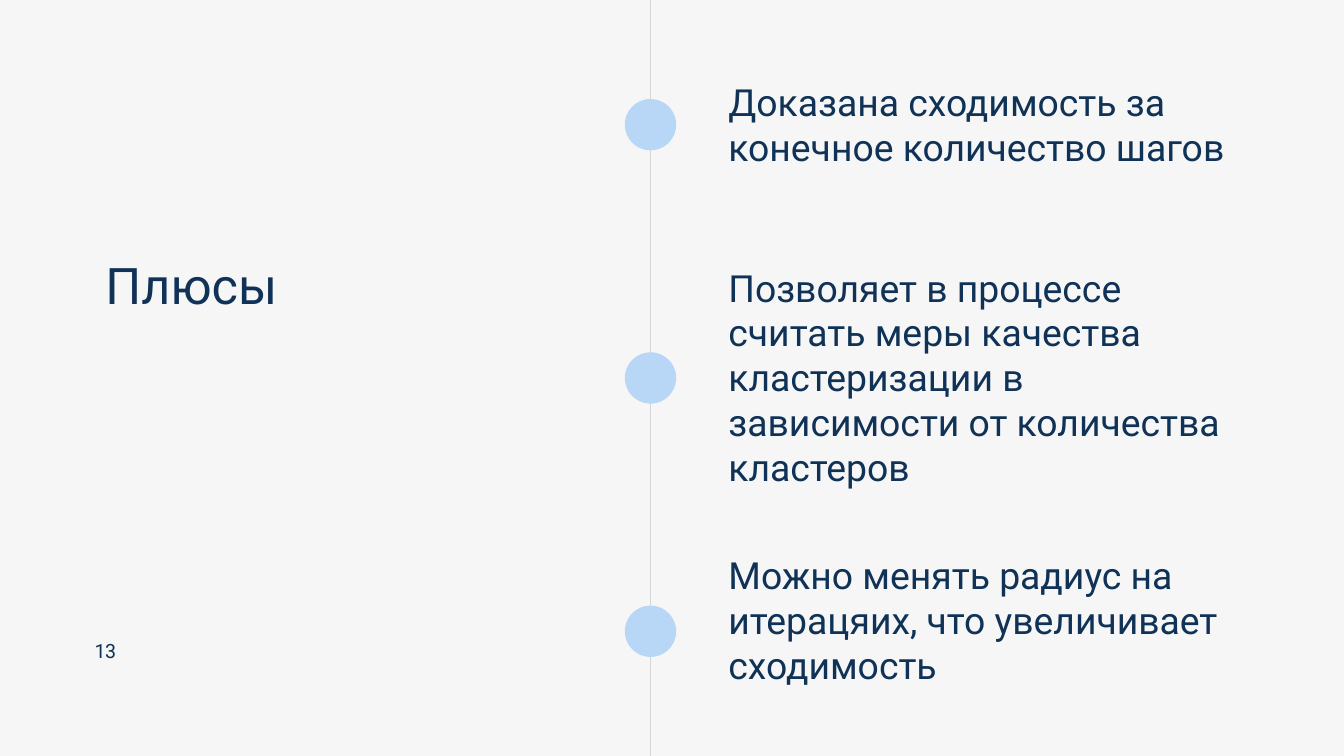
from pptx import Presentation
from pptx.dml.color import RGBColor
from pptx.enum.shapes import MSO_SHAPE
from pptx.enum.text import MSO_ANCHOR, MSO_AUTO_SIZE, PP_ALIGN
from pptx.oxml.ns import qn
from pptx.util import Pt
from lxml import etree

OVAL, RECT = MSO_SHAPE.OVAL, MSO_SHAPE.RECTANGLE
TOP, FIXED = MSO_ANCHOR.TOP, MSO_AUTO_SIZE.NONE
LEFT, CENTER = PP_ALIGN.LEFT, PP_ALIGN.CENTER

WIDTH, HEIGHT = 1440, 810
PAPER, NAVY, SKY, BLACK = "F6F6F6", "0F3256", "B8D6F6", "000000"
FACE = "Roboto"

TITLE = "Плюсы"
NUMBER = "13"
PROS = [
    ("Доказана сходимость за конечное количество шагов", 85, 97),
    ("Позволяет в процессе считать меры качества кластеризации "
     "в зависимости от количества кластеров", 283.7, 242.6),
    ("Можно менять радиус на итерацяих, что увеличивает сходимость",
     591.8, 145.4),
]
AXIS, DOT, FIRST, STEP = 697, 55, 133.6, 271.4
TEXT_X, TEXT_W = 780.5, 568.5


def color(value):
    """Turn a hex string into a colour."""
    return RGBColor.from_string(value)


def place(shape, box):
    """Set left, top, width and height in points."""
    for name, value in zip(("left", "top", "width", "height"), box):
        setattr(shape, name, Pt(value))


def write(shape, box, text, size, lead=None, align=LEFT):
    """Place a text shape, then fill and format it."""
    place(shape, box)
    frame = shape.text_frame
    look = dict(margin_left=0, margin_top=0, margin_right=0, margin_bottom=0,
                word_wrap=True, auto_size=FIXED, vertical_anchor=TOP)
    for name, value in look.items():
        setattr(frame, name, value)
    para = frame.paragraphs[0]
    para.alignment = align
    if lead:
        para.line_spacing = Pt(lead)
    run = para.add_run()
    run.text = text
    for name, value in dict(name=FACE, size=Pt(size)).items():
        setattr(run.font, name, value)
    run.font.color.rgb = color(NAVY)
    return run


def draw(slide, kind, box, fill):
    """Add a plain filled shape."""
    shape = slide.shapes.add_shape(kind, *map(Pt, box))
    shape.shadow.inherit = False
    shape.fill.solid()
    shape.fill.fore_color.rgb = color(fill)
    shape.line.fill.background()
    return shape


def main():
    """Build and save the slide."""
    deck = Presentation()
    deck.slide_width, deck.slide_height = Pt(WIDTH), Pt(HEIGHT)
    slide = deck.slides.add_slide(deck.slide_layouts[5])
    back = slide.background.fill
    back.solid()
    back.fore_color.rgb = color(PAPER)

    write(slide.shapes.title, (113, 272.9, 207.4, 64.8), TITLE, 54, 64)
    line = draw(slide, RECT, (AXIS - 0.3, 0, 0.7, HEIGHT), BLACK)
    tint = line.fill._xPr.find(".//" + qn("a:srgbClr"))
    etree.SubElement(tint, qn("a:alpha")).set("val", "20000")

    for i, (text, top, height) in enumerate(PROS):
        label = slide.shapes.add_textbox(0, 0, 0, 0)
        write(label, (TEXT_X, top, TEXT_W, height), text, 40)
        mid = FIRST + i * STEP
        draw(slide, OVAL, (AXIS - DOT / 2, mid - DOT / 2, DOT, DOT), SKY)

    page = slide.shapes.add_textbox(0, 0, 0, 0)
    run = write(page, (91.4, 682.6, 43.2, 26), NUMBER, 21, 27.3, CENTER)
    run._r.get_or_add_rPr().set("spc", "-60")
    deck.save("out.pptx")


if __name__ == "__main__":
    main()
